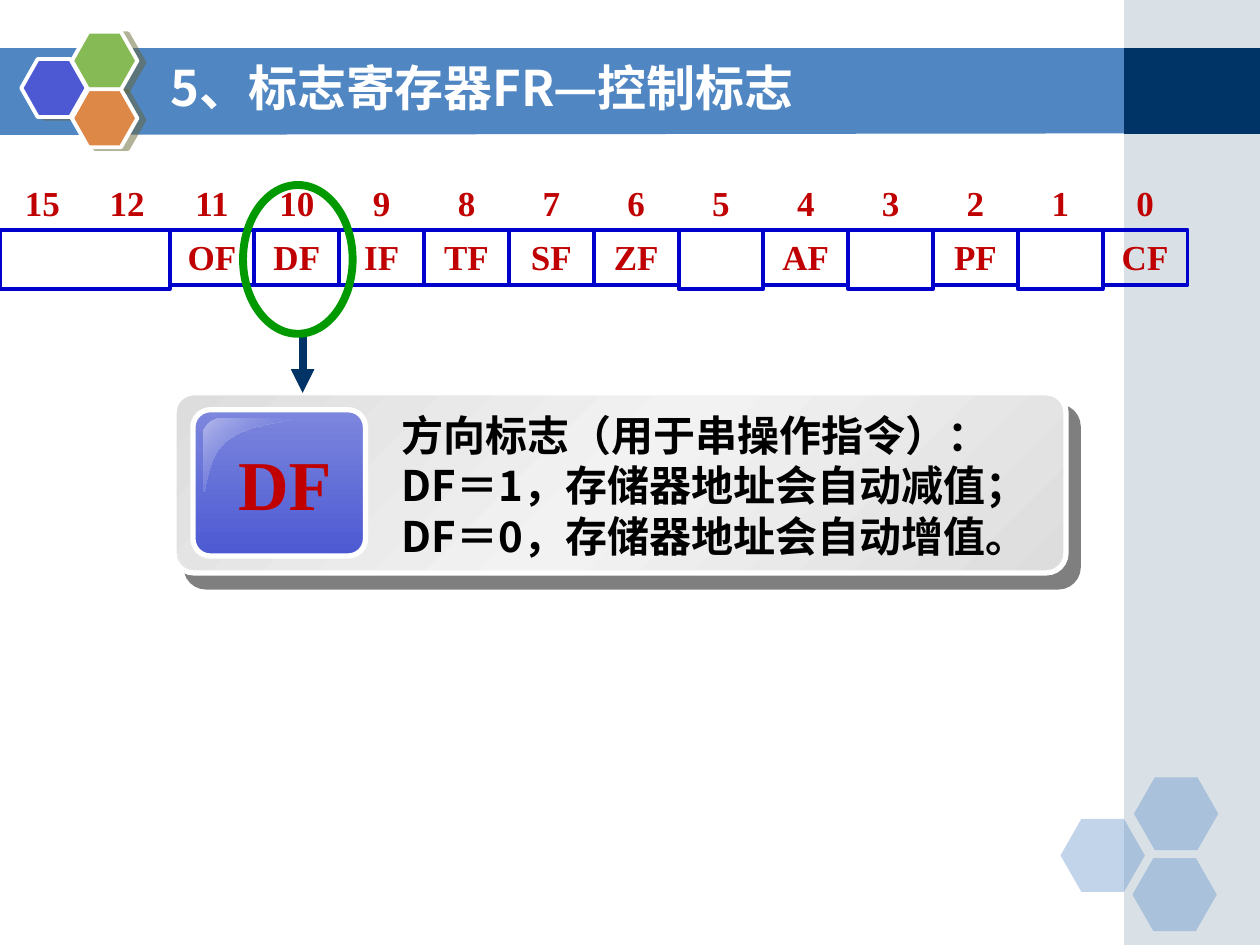
from lxml.etree import SubElement
from pptx import Presentation
from pptx.dml.color import RGBColor
from pptx.enum.shapes import MSO_CONNECTOR, MSO_SHAPE
from pptx.enum.text import MSO_ANCHOR, PP_ALIGN
from pptx.oxml import parse_xml
from pptx.oxml.ns import nsdecls, qn
from pptx.util import Cm, Pt

WHITE = RGBColor(0xFF, 0xFF, 0xFF)
BLACK = RGBColor(0x00, 0x00, 0x00)
BLUE = RGBColor(0x50, 0x86, 0xC2)
NAVY = RGBColor(0x00, 0x33, 0x66)
SLATE = RGBColor(0xA0, 0xB5, 0xC4)
INDIGO = RGBColor(0x4C, 0x59, 0xD2)
LILAC = RGBColor(0x7D, 0x87, 0xDE)
PALE = RGBColor(0xB3, 0xB9, 0xEC)
LEAF = RGBColor(0x85, 0xBA, 0x54)
ORANGE = RGBColor(0xDE, 0x88, 0x48)
OLIVE = RGBColor(0x66, 0x66, 0x33)
SILVER = RGBColor(0xDD, 0xDD, 0xDD)
LIGHT = RGBColor(0xF2, 0xF2, 0xF2)
RED = RGBColor(0xC0, 0x00, 0x00)
CELL = RGBColor(0x00, 0x00, 0xCC)
GREEN = RGBColor(0x00, 0x99, 0x00)

SERIF = "Times New Roman"
SANS = "Noto Sans CJK SC"


def curve(a, b, c, d, steps=12):
    """Points along a cubic Bezier curve, without its start."""
    for i in range(1, steps + 1):
        t = i / steps
        u = 1 - t
        yield tuple(u**3 * p + 3 * u * u * t * q + 3 * u * t * t * r + t**3 * s
                    for p, q, r, s in zip(a, b, c, d))


class Deck:
    def __init__(self):
        self.prs = Presentation()
        self.prs.slide_width, self.prs.slide_height = Cm(25.4), Cm(19.05)
        self.slide = self.prs.slides.add_slide(self.prs.slide_layouts[5])
        self.shapes = self.slide.shapes

    def paint(self, shape, fill=None, alpha=100, line=None, width=2.25):
        shape.shadow.inherit = False
        if fill is None:
            shape.fill.background()
        else:
            shape.fill.solid()
            shape.fill.fore_color.rgb = fill
            if alpha < 100:
                color = shape.element.spPr.find(qn("a:solidFill"))[0]
                SubElement(color, qn("a:alpha"), val=str(alpha * 1000))
        if line is None:
            shape.line.fill.background()
        else:
            shape.line.color.rgb = line
            shape.line.width = Pt(width)
        return shape

    def shape(self, kind, x, y, w, h, adj=None, **style):
        item = self.shapes.add_shape(kind, Cm(x), Cm(y), Cm(w), Cm(h))
        if adj is not None:
            item.adjustments[0] = adj
        return self.paint(item, **style)

    def outline(self, points, **style):
        first, *rest = [(Cm(x), Cm(y)) for x, y in points]
        path = self.shapes.build_freeform(*first)
        path.add_line_segments(rest, close=True)
        return self.paint(path.convert_to_shape(), **style)

    def blend(self, shape, angle, *stops):
        """Swap the solid fill for a gradient of (place, colour, alpha) stops."""
        marks = "".join(
            f'<a:gs pos="{pos * 1000}"><a:srgbClr val="{color}">'
            f'<a:alpha val="{alpha * 1000}"/></a:srgbClr></a:gs>'
            for pos, color, alpha in stops)
        props = shape.element.spPr
        props.replace(props.find(qn("a:solidFill")), parse_xml(
            f'<a:gradFill {nsdecls("a")} rotWithShape="1"><a:gsLst>{marks}</a:gsLst>'
            f'<a:lin ang="{angle * 60000}" scaled="0"/></a:gradFill>'))

    def shade(self, shape, color, dist, angle):
        effects = shape.element.spPr.find(qn("a:effectLst"))
        drop = SubElement(effects, qn("a:outerShdw"), dist=str(Pt(dist)),
                          dir=str(angle * 60000), algn="ctr", rotWithShape="0")
        tint = SubElement(drop, qn("a:srgbClr"), val=str(color))
        SubElement(tint, qn("a:alpha"), val="50000")

    def label(self, shape, lines, size, color, font, align=PP_ALIGN.LEFT,
              anchor=MSO_ANCHOR.TOP):
        """Fill a shape with lines, each a tuple of runs."""
        frame = shape.text_frame
        frame.word_wrap = True
        frame.vertical_anchor = anchor
        for i, runs in enumerate(lines):
            par = frame.add_paragraph() if i else frame.paragraphs[0]
            for words in runs:
                par.add_run().text = words
            par.alignment = align
            par.font.size, par.font.bold = Pt(size), True
            par.font.color.rgb, par.font.name = color, font
            SubElement(par._p.pPr.find(qn("a:defRPr")), qn("a:ea"), typeface=font)
        return frame

    def text(self, x, y, w, h, lines, *style):
        box = self.shapes.add_textbox(Cm(x), Cm(y), Cm(w), Cm(h))
        return self.label(box, lines, *style)

    def title(self, x, y, w, h, words):
        item = self.shapes.title
        item.left, item.top, item.width, item.height = Cm(x), Cm(y), Cm(w), Cm(h)
        item.element.getparent().append(item.element)  # in front of the bar
        frame = self.label(item, [(words,)], 28, WHITE, SANS, anchor=MSO_ANCHOR.MIDDLE)
        frame.paragraphs[0].line_spacing = 0.8

    def arrow(self, x1, y1, x2, y2, color, width):
        item = self.shapes.add_connector(
            MSO_CONNECTOR.STRAIGHT, Cm(x1), Cm(y1), Cm(x2), Cm(y2))
        item.line.color.rgb, item.line.width = color, Pt(width)
        props = item.element.spPr
        SubElement(props.find(qn("a:ln")), qn("a:tailEnd"), type="triangle")
        SubElement(props, qn("a:effectLst"))


def main():
    deck = Deck()
    rect, hexa = MSO_SHAPE.RECTANGLE, MSO_SHAPE.HEXAGON
    card = MSO_SHAPE.ROUNDED_RECTANGLE

    # Title bar and side band
    deck.outline([(-0.03, 0.97), (22.73, 0.97), (22.73, 2.69), (-0.03, 2.72)], fill=BLUE)
    deck.shape(rect, 22.66, 0, 2.74, 19.05, fill=SLATE, alpha=40)
    deck.shape(rect, 22.66, 0.97, 2.74, 1.73, fill=NAVY)

    # Hexagon clusters
    for x, y in [(21.38, 16.51), (22.86, 15.67), (22.83, 17.3)]:
        deck.shape(hexa, x, y, 1.7, 1.47, 0.286, fill=BLUE, alpha=35)
    for x, y, color in [(0.43, 1.19, INDIGO), (1.45, 0.64, LEAF), (1.45, 1.8, ORANGE)]:
        cell = deck.shape(hexa, x, y, 1.32, 1.17, 0.283, fill=color, line=WHITE)
        deck.shade(cell, OLIVE, 4.1, 14)
    deck.title(3.18, 1.07, 18.62, 1.57, "5、标志寄存器FR—控制标志")

    # Flag register: bits 15 to 12 share one cell, the rest have one each
    step, top, row = 1.71, 3.53, 4.63
    bold = (20, RED, SERIF, PP_ALIGN.CENTER)
    deck.shape(rect, 0, row, 2 * step, 1.2, line=CELL)
    flags = ["OF", "DF", "IF", "TF", "SF", "ZF", "", "AF", "", "PF", "", "CF"]
    for i, flag in enumerate(flags, 2):
        cell = deck.shape(rect, i * step, row, step, 1.11 if flag else 1.2, line=CELL)
        if flag:
            deck.label(cell, [(flag,)], *bold)
    for i, bit in enumerate([15, *range(12, -1, -1)]):
        deck.text(i * step, top, step, 1.11, [(str(bit),)], *bold)

    # Card that explains the flag
    panel = deck.shape(card, 3.51, 7.92, 17.98, 3.63, 0.109,
                       fill=SILVER, line=WHITE, width=3)
    deck.blend(panel, 45, (0, SILVER, 100), (50, LIGHT, 100), (100, SILVER, 100))
    deck.shade(panel, BLACK, 10.6, 49)
    badge = deck.shape(card, 3.89, 8.26, 3.48, 2.95, 0.119,
                       fill=INDIGO, line=WHITE, width=3)
    deck.blend(badge, 90, (0, LILAC, 100), (100, INDIGO, 100))
    gloss = deck.outline([
        (4.47, 8.43),
        *curve((4.47, 8.43), (4.27, 8.43), (4.11, 8.58), (4.11, 8.74)),
        (4.11, 9.91),
        *curve((4.11, 9.91), (4.19, 9.94), (4.14, 9.2), (4.6, 8.86)),
        *curve((4.6, 8.86), (5.03, 8.53), (5.89, 8.51), (5.87, 8.43)),
    ], fill=PALE)
    deck.blend(gloss, 45, (0, PALE, 100), (100, INDIGO, 0))
    note = deck.text(7.85, 8.13, 13.87, 3.3, [
        ("方向标志（用于串操作指令）：",),
        ("DF＝1，存储器地址会自动减值；",),
        ("DF", "＝", "0，存储器地址会自动增值。"),
    ], 24, BLACK, SANS)
    note.paragraphs[2].runs[1].font.name = "Arial"
    deck.text(4.55, 8.76, 2.97, 1.96, [("DF",)], 40, RED, SERIF)

    # Ring around the flag and arrow to its card
    deck.arrow(6.1, 6.73, 6.1, 7.92, NAVY, 4.5)
    deck.shape(MSO_SHAPE.OVAL, 4.9, 3.73, 2.21, 3, line=GREEN, width=4.5)

    deck.prs.save("out.pptx")


if __name__ == "__main__":
    main()
